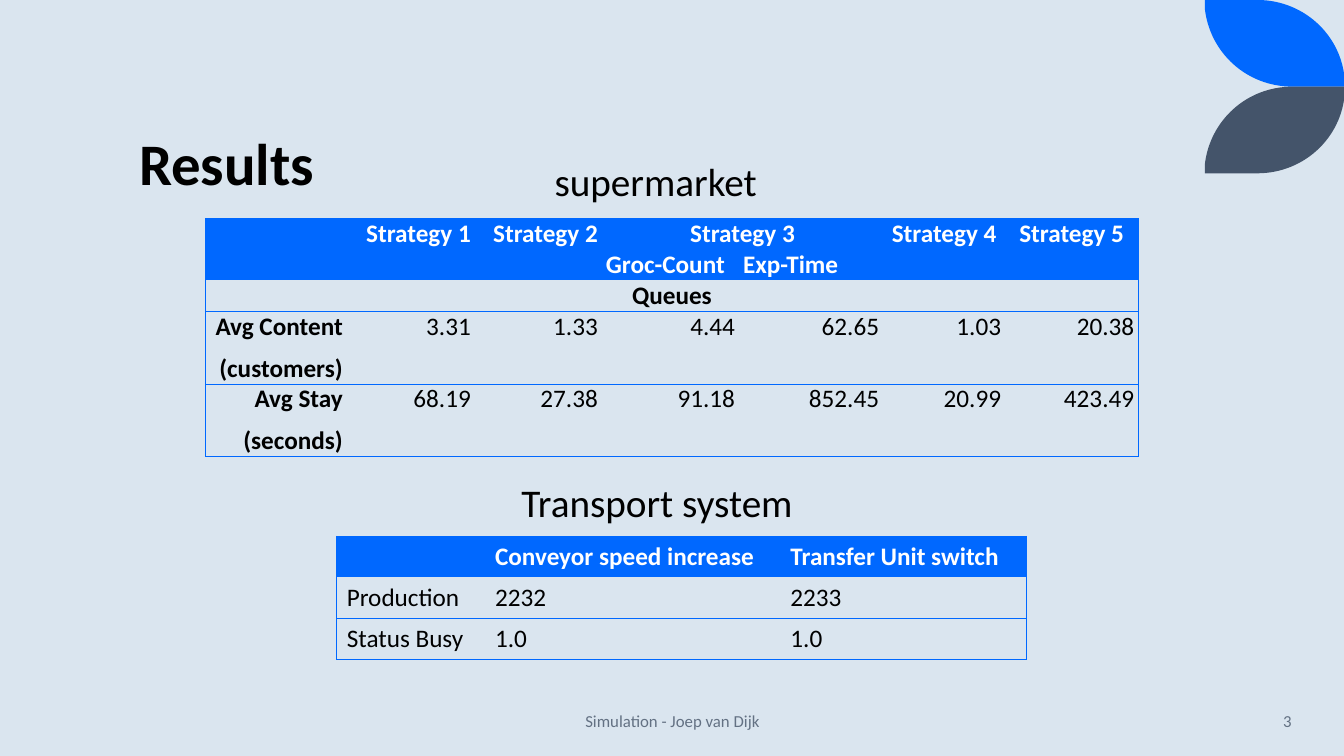
import dataclasses
import typing

import lxml.etree
import pptx
import pptx.dml.color
import pptx.enum.text
import pptx.oxml.ns
import pptx.shapes.base
import pptx.slide
import pptx.table
import pptx.text.text
import pptx.util

Inches = pptx.util.Inches
Pt = pptx.util.Pt
Align = pptx.enum.text.PP_ALIGN
Anchor = pptx.enum.text.MSO_ANCHOR
qn = pptx.oxml.ns.qn

ALIGNMENTS = {"l": Align.LEFT, "c": Align.CENTER, "r": Align.RIGHT}
NO_STYLE_TABLE = "{2D5ABB26-0587-4C30-8999-92F81FD0307C}"
PETAL_WIDTH, PETAL_HEIGHT = 1.39, 0.86


@dataclasses.dataclass(frozen=True)
class Theme:
    font: str = "Calibri"
    background: str = "DAE5EF"
    accent: str = "0068FF"
    slate: str = "44546A"
    text: str = "000000"
    header_text: str = "FFFFFF"
    footer_text: str = "637183"
    title_size: int = 42
    caption_size: int = 28
    table_size: int = 18
    footer_size: int = 12
    border_width: float = 0.5


THEME = Theme()


class Box(typing.NamedTuple):
    left: float
    top: float
    width: float
    height: float


@dataclasses.dataclass(frozen=True)
class TextItem:
    text: str
    box: Box
    size: int
    color: str = THEME.text
    bold: bool = False
    anchor: Anchor = Anchor.TOP
    paragraph_format: dict[str, object] = dataclasses.field(default_factory=dict)


@dataclasses.dataclass(frozen=True)
class ResultTable:
    left: float
    top: float
    columns: list[float]
    rows: list[float]
    cells: list[list[str]]
    alignments: list[str]
    header_rows: int
    bold_labels: bool
    side_margin: float
    end_margin: float
    space_after: int = 0
    merges: tuple[tuple[int, int, int, int], ...] = ()


CAPTION_FORMAT = {"line_spacing": 0.9, "space_before": Pt(10), "alignment": Align.LEFT}
PLACEHOLDER_TEXTS = {
    0: TextItem("Results", Box(1.28, 0.5, 10.6, 1.5), THEME.title_size, bold=True,
                anchor=Anchor.BOTTOM,
                paragraph_format={"line_spacing": 0.8, "alignment": Align.LEFT}),
    1: TextItem("supermarket", Box(5.4, 1.56, 2.32, 0.57), THEME.caption_size,
                paragraph_format=CAPTION_FORMAT),
    2: TextItem("Transport system", Box(5.07, 4.75, 3.39, 0.58), THEME.caption_size,
                paragraph_format=CAPTION_FORMAT),
}
FOOTER_TEXTS = [
    TextItem(text, box, THEME.footer_size, THEME.footer_text, anchor=Anchor.MIDDLE,
             paragraph_format={"alignment": alignment})
    for text, box, alignment in (
        ("Simulation - Joep van Dijk", Box(4.42, 6.95, 4.5, 0.4), Align.CENTER),
        ("3", Box(11.1, 6.95, 1.81, 0.4), Align.RIGHT),
    )
]
TABLES = [
    ResultTable(
        left=2.04, top=2.17,
        columns=[1.4, 1.27, 1.26, 1.36, 1.43, 1.21, 1.32],
        rows=[0.27, 0.27, 0.27, 0.66, 0.66],
        cells=[
            ["", "Strategy 1", "Strategy 2", "Strategy 3", "", "Strategy 4", "Strategy 5"],
            ["", "", "", "Groc-Count", "Exp-Time", "", ""],
            ["Queues", "", "", "", "", "", ""],
            ["Avg Content\n(customers)", "3.31", "1.33", "4.44", "62.65", "1.03", "20.38"],
            ["Avg Stay\n(seconds)", "68.19", "27.38", "91.18", "852.45", "20.99", "423.49"],
        ],
        alignments=["rrrcccc", "lllllll", "ccccccc", "rrrrrrr", "rrrrrrr"],
        header_rows=2, bold_labels=True, side_margin=0.04, end_margin=0, space_after=8,
        merges=(*((0, column, 1, column) for column in (0, 1, 2, 5, 6)),
                (0, 3, 0, 4), (2, 0, 2, 6)),
    ),
    ResultTable(
        left=3.34, top=5.32,
        columns=[1.47, 2.93, 2.44],
        rows=[1.22 / 3] * 3,
        cells=[
            ["", "Conveyor speed increase", "Transfer Unit switch"],
            ["Production", "2232", "2233"],
            ["Status Busy", "1.0", "1.0"],
        ],
        alignments=["lll"] * 3,
        header_rows=1, bold_labels=False, side_margin=0.1, end_margin=0.05,
    ),
]


def rgb(color: str) -> pptx.dml.color.RGBColor:
    return pptx.dml.color.RGBColor.from_string(color)


def apply_format(target: object, values: dict[str, object]) -> None:
    for name, value in values.items():
        setattr(target, name, value)


def write_text(frame: pptx.text.text.TextFrame, text: str, size: int, color: str,
               bold: bool, paragraph_format: dict[str, object]) -> None:
    frame.text = text
    for paragraph in frame.paragraphs:
        apply_format(paragraph, paragraph_format)
        for run in paragraph.runs:
            apply_format(run.font, {"name": THEME.font, "size": Pt(size), "bold": bold})
            run.font.color.rgb = rgb(color)


def fill_text_shape(shape: pptx.shapes.base.BaseShape, item: TextItem) -> None:
    apply_format(shape, {name: Inches(value) for name, value in item.box._asdict().items()})
    frame = shape.text_frame
    apply_format(frame, {"word_wrap": True, "vertical_anchor": item.anchor,
                         "auto_size": pptx.enum.text.MSO_AUTO_SIZE.NONE})
    write_text(frame, item.text, item.size, item.color, item.bold, item.paragraph_format)


def remove_bullet(paragraph: pptx.text.text._Paragraph) -> None:
    properties = paragraph._p.get_or_add_pPr()
    properties.set("marL", "0")
    properties.set("indent", "0")
    lxml.etree.SubElement(properties, qn("a:buNone"))


def add_petal(slide: pptx.slide.Slide, color: str, mirrored: bool) -> None:
    """Draw a leaf whose two long sides are Bezier curves."""
    outline = [(0, 0), (0.52, 0),
               (1, 0), (PETAL_WIDTH, 0.38), (PETAL_WIDTH, PETAL_HEIGHT),
               (0.87, PETAL_HEIGHT),
               (0.41, PETAL_HEIGHT), (0.05, 0.52), (0, 0.09)]
    points = [(Inches(13.34 - PETAL_WIDTH + x), Inches(2 * PETAL_HEIGHT - y if mirrored else y))
              for x, y in outline]
    builder = slide.shapes.build_freeform(*points[0], scale=1.0)
    builder.add_line_segments(points[1:], close=True)
    petal = builder.convert_to_shape()
    segments = list(petal._element.iter(qn("a:lnTo")))
    for first in (1, 5):
        bezier = lxml.etree.Element(qn("a:cubicBezTo"))
        segments[first].addprevious(bezier)
        for segment in segments[first:first + 3]:
            bezier.append(segment[0])
            segment.getparent().remove(segment)
    petal.shadow.inherit = False
    petal.fill.solid()
    petal.fill.fore_color.rgb = rgb(color)
    petal.line.fill.background()


def add_borders(cell: pptx.table._Cell, sides: str) -> None:
    properties = cell._tc.get_or_add_tcPr()
    for position, side in enumerate(sides):
        line = lxml.etree.Element(qn(f"a:ln{side}"), w=str(Pt(THEME.border_width)))
        fill = lxml.etree.SubElement(line, qn("a:solidFill"))
        lxml.etree.SubElement(fill, qn("a:srgbClr"), val=THEME.accent)
        properties.insert(position, line)


def add_result_table(slide: pptx.slide.Slide, data: ResultTable) -> None:
    frame = slide.shapes.add_table(
        len(data.rows), len(data.columns), Inches(data.left), Inches(data.top),
        Inches(sum(data.columns)), Inches(sum(data.rows)))
    table = frame.table
    apply_format(table, {"first_row": False, "horz_banding": False})
    table._tbl.tblPr.find(qn("a:tableStyleId")).text = NO_STYLE_TABLE
    for column, width in zip(table.columns, data.columns):
        column.width = Inches(width)
    for top, left, bottom, right in data.merges:
        table.cell(top, left).merge(table.cell(bottom, right))
    side, end = Inches(data.side_margin), Inches(data.end_margin)
    for r, (height, texts) in enumerate(zip(data.rows, data.cells)):
        table.rows[r].height = Inches(height)
        header = r < data.header_rows
        for c, text in enumerate(texts):
            cell = table.cell(r, c)
            apply_format(cell, {"margin_left": side, "margin_right": side,
                                "margin_top": end, "margin_bottom": end})
            write_text(cell.text_frame, text, THEME.table_size,
                       THEME.header_text if header else THEME.text,
                       header or (data.bold_labels and c == 0),
                       {"alignment": ALIGNMENTS[data.alignments[r][c]],
                        "space_after": Pt(data.space_after)})
            if header:
                cell.fill.solid()
                cell.fill.fore_color.rgb = rgb(THEME.accent)
            else:
                cell.fill.background()
            reach = c + (cell.span_width if cell.is_merge_origin else 1)
            add_borders(cell, "L" * (c == 0) + "R" * (reach == len(texts))
                        + "T" * (r == 0) + "B" * (not header))


def main() -> None:
    presentation = pptx.Presentation()
    apply_format(presentation, {"slide_width": Inches(13.33), "slide_height": Inches(7.5)})
    slide = presentation.slides.add_slide(presentation.slide_layouts.get_by_name("Two Content"))
    slide.background.fill.solid()
    slide.background.fill.fore_color.rgb = rgb(THEME.background)
    add_petal(slide, THEME.accent, mirrored=False)
    add_petal(slide, THEME.slate, mirrored=True)
    for index, item in PLACEHOLDER_TEXTS.items():
        placeholder = slide.placeholders[index]
        fill_text_shape(placeholder, item)
        if index:
            remove_bullet(placeholder.text_frame.paragraphs[0])
    for data in TABLES:
        add_result_table(slide, data)
    for item in FOOTER_TEXTS:
        fill_text_shape(slide.shapes.add_textbox(0, 0, 0, 0), item)
    presentation.save("out.pptx")


if __name__ == "__main__":
    main()
